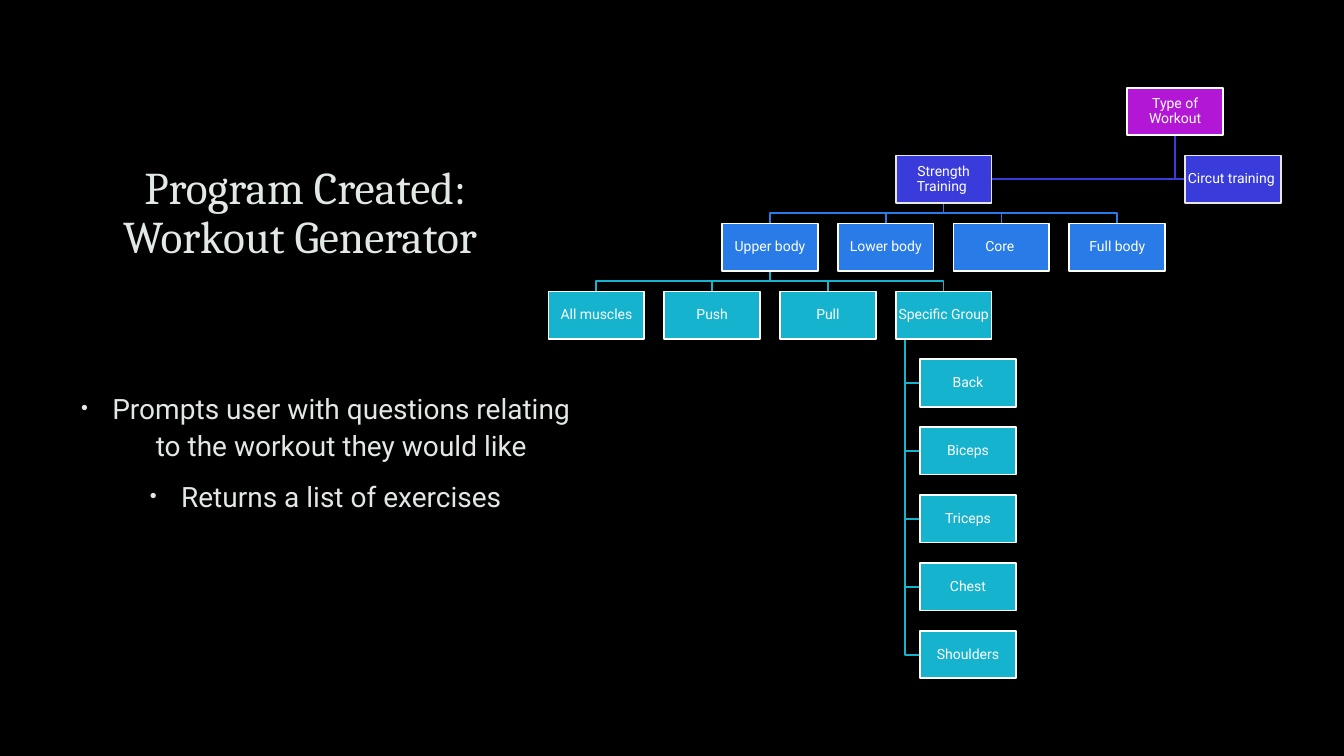
from lxml import etree
from pptx import Presentation
from pptx.dml.color import RGBColor
from pptx.enum.shapes import MSO_SHAPE
from pptx.enum.text import MSO_ANCHOR, PP_ALIGN
from pptx.oxml.ns import qn
from pptx.util import Inches, Pt

RECTANGLE = MSO_SHAPE.RECTANGLE
CENTER = PP_ALIGN.CENTER
TOP, MIDDLE, BOTTOM = MSO_ANCHOR.TOP, MSO_ANCHOR.MIDDLE, MSO_ANCHOR.BOTTOM

BLACK = RGBColor(0x00, 0x00, 0x00)
WHITE = RGBColor(0xFF, 0xFF, 0xFF)
PALE = RGBColor(0xE2, 0xE8, 0xE3)
SILVER = RGBColor(0xE7, 0xE7, 0xE7)
PURPLE = RGBColor(0xB2, 0x17, 0xD5)
INDIGO = RGBColor(0x39, 0x3C, 0xDB)
BLUE = RGBColor(0x29, 0x7B, 0xE7)
TEAL = RGBColor(0x16, 0xB3, 0xCE)

BOX_WIDTH, BOX_HEIGHT = 0.95, 0.47
CHART_LEFT, CHART_TOP = 5.44, 0.87
COLUMN_PITCH = 5.74 / 5
ROW_PITCH = 5.39 / 8
SPINE_INSET = 0.09

ROOT = ("Type of Workout", 5, 0)
STRENGTH = ("Strength Training ", 3, 1)
CIRCUIT = ("Circut training ", 5.5, 1)
BODY_PARTS = [
    (text, 1.5 + index, 2)
    for index, text in enumerate(["Upper body", "Lower body", "Core ", "Full body"])
]
UPPER_BODY = BODY_PARTS[0]
UPPER_OPTIONS = [
    (text, index, 3)
    for index, text in enumerate(["All muscles", "Push", "Pull", "Specific Group"])
]
SPECIFIC_GROUP = UPPER_OPTIONS[-1]
MUSCLES = [
    (text, 3.21, 4 + index)
    for index, text in enumerate(["Back", "Biceps", "Triceps", "Chest", "Shoulders"])
]


def corner(node):
    text, column, row = node
    return CHART_LEFT + column * COLUMN_PITCH, CHART_TOP + row * ROW_PITCH


class SlideBuilder:
    heading_font = "Cambria"
    body_font = "Roboto"
    line_width = Pt(1.25)

    def __init__(self, presentation):
        self.slide = presentation.slides.add_slide(presentation.slide_layouts[6])
        background = self.slide.background.fill
        background.solid()
        background.fore_color.rgb = BLACK

    def add_run(self, paragraph, text, font, size, color):
        run = paragraph.add_run()
        run.text = text
        run.font.name = font
        run.font.size = Pt(size)
        run.font.color.rgb = color

    def bullet(self, paragraph):
        properties = paragraph._p.get_or_add_pPr()
        properties.set("marL", str(Inches(0.31)))
        properties.set("indent", str(Inches(-0.31)))
        color = etree.SubElement(properties, qn("a:buClr"))
        etree.SubElement(color, qn("a:srgbClr"), val=str(PALE))
        etree.SubElement(properties, qn("a:buSzPct"), val="70000")
        etree.SubElement(properties, qn("a:buFont"), typeface="Arial")
        etree.SubElement(properties, qn("a:buChar"), char="•")

    def text_box(self, left, top, width, height, anchor):
        shape = self.slide.shapes.add_textbox(
            Inches(left), Inches(top), Inches(width), Inches(height)
        )
        frame = shape.text_frame
        frame.word_wrap = True
        frame.vertical_anchor = anchor
        return frame

    def title(self, text):
        frame = self.text_box(1, 0.67, 4.05, 1.99, BOTTOM)
        paragraph = frame.paragraphs[0]
        paragraph.alignment = CENTER
        paragraph.line_spacing = 0.9
        self.add_run(paragraph, text, self.heading_font, 32.4, PALE)

    def bullets(self, texts):
        frame = self.text_box(0.62, 3.8, 5.22, 3.3, TOP)
        for index, text in enumerate(texts):
            paragraph = frame.add_paragraph() if index else frame.paragraphs[0]
            paragraph.alignment = CENTER
            paragraph.line_spacing = 1.1
            paragraph.space_before = Pt(4)
            paragraph.space_after = Pt(6)
            self.bullet(paragraph)
            self.add_run(paragraph, text, self.body_font, 20, PALE)

    def polyline(self, points, color):
        start, *rest = [(Inches(x), Inches(y)) for x, y in points]
        builder = self.slide.shapes.build_freeform(*start)
        builder.add_line_segments(rest, close=False)
        shape = builder.convert_to_shape()
        shape.shadow.inherit = False
        shape.fill.background()
        shape.line.color.rgb = color
        shape.line.width = self.line_width

    def branch_down(self, parent, child, color):
        (parent_left, parent_top), (child_left, child_top) = corner(parent), corner(child)
        start_x, end_x = parent_left + BOX_WIDTH / 2, child_left + BOX_WIDTH / 2
        start_y = parent_top + BOX_HEIGHT
        middle_y = (start_y + child_top) / 2
        self.polyline(
            [(start_x, start_y), (start_x, middle_y), (end_x, middle_y), (end_x, child_top)],
            color,
        )

    def branch_side(self, parent, child, offset, color):
        (parent_left, parent_top), (child_left, child_top) = corner(parent), corner(child)
        start_x = parent_left + offset
        end_x = child_left if child_left > start_x else child_left + BOX_WIDTH
        end_y = child_top + BOX_HEIGHT / 2
        self.polyline(
            [(start_x, parent_top + BOX_HEIGHT), (start_x, end_y), (end_x, end_y)], color
        )

    def box(self, node, fill, border=WHITE):
        left, top = corner(node)
        shape = self.slide.shapes.add_shape(
            RECTANGLE, Inches(left), Inches(top), Inches(BOX_WIDTH), Inches(BOX_HEIGHT)
        )
        shape.shadow.inherit = False
        shape.fill.solid()
        shape.fill.fore_color.rgb = fill
        shape.line.color.rgb = border
        shape.line.width = self.line_width
        frame = shape.text_frame
        frame.word_wrap = True
        frame.vertical_anchor = MIDDLE
        frame.margin_left = frame.margin_right = Inches(0.01)
        frame.margin_top = frame.margin_bottom = Inches(0.01)
        paragraph = frame.paragraphs[0]
        paragraph.alignment = CENTER
        paragraph.line_spacing = 0.9
        paragraph.space_after = Pt(3.5)
        self.add_run(paragraph, node[0], self.body_font, 10, WHITE)


def main():
    presentation = Presentation()
    presentation.slide_width = Inches(13.33)
    presentation.slide_height = Inches(7.5)
    builder = SlideBuilder(presentation)

    builder.title("Program Created: Workout Generator ")
    builder.bullets([
        "Prompts user with questions relating to the workout they would like",
        "Returns a list of exercises",
    ])

    for child in (CIRCUIT, STRENGTH):
        builder.branch_side(ROOT, child, BOX_WIDTH / 2, INDIGO)
    for child in BODY_PARTS:
        builder.branch_down(STRENGTH, child, BLUE)
    for child in UPPER_OPTIONS:
        builder.branch_down(UPPER_BODY, child, TEAL)
    for child in MUSCLES:
        builder.branch_side(SPECIFIC_GROUP, child, SPINE_INSET, TEAL)

    builder.box(ROOT, PURPLE)
    for node in (STRENGTH, CIRCUIT):
        builder.box(node, INDIGO, SILVER)
    for node in BODY_PARTS:
        builder.box(node, BLUE)
    for node in UPPER_OPTIONS + MUSCLES:
        builder.box(node, TEAL)

    presentation.save("out.pptx")


if __name__ == "__main__":
    main()
